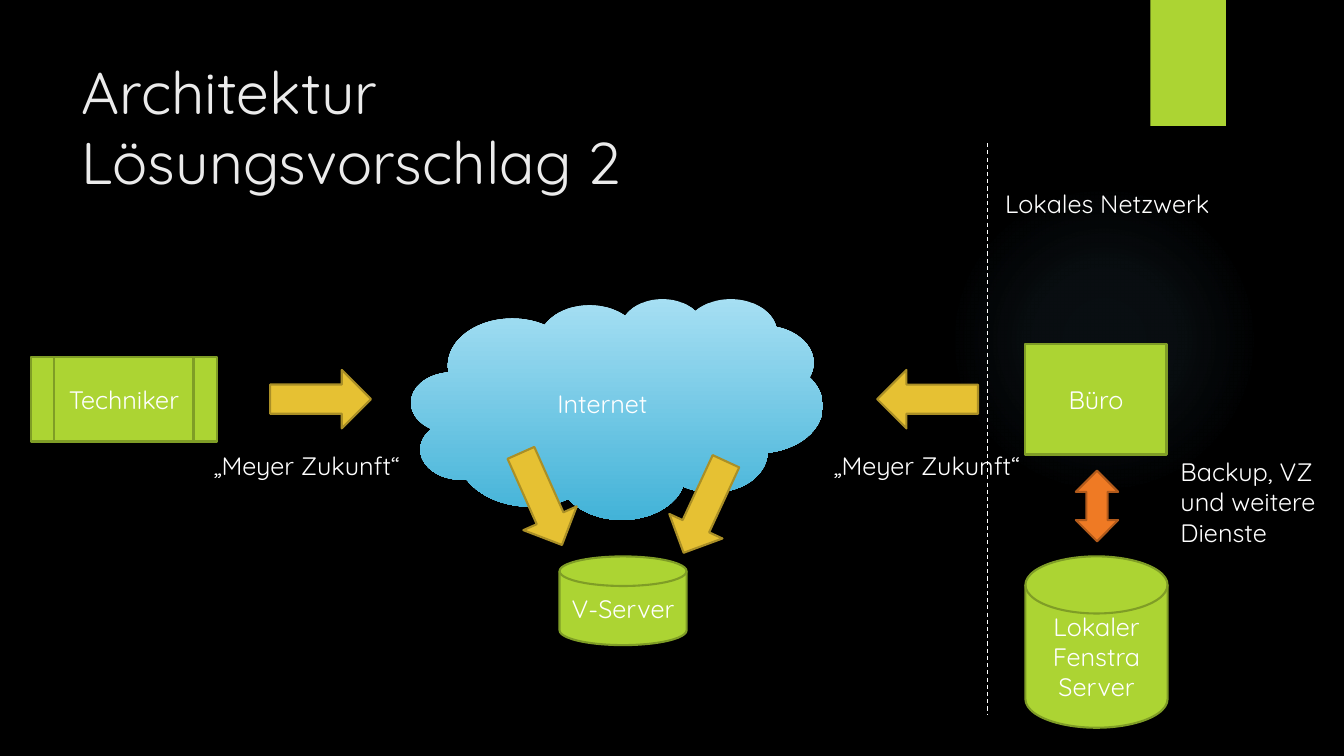
from lxml import etree
from pptx import Presentation
from pptx import util as u
from pptx.dml.color import RGBColor
from pptx.enum import dml, shapes, text
from pptx.oxml import ns, parse_xml

PX = 9144
THEME = {
    "font": "Quicksand", "title_size": 42, "body_size": 18,
    "outline": 1.5, "divider_width": 0.75,
    "background": "000000", "title": "EBEBEB", "text": "FFFFFF",
    "divider": "FFFFFF", "glow": "7AC4F0",
    "cloud": ("A6DFF3", "43B3D8"),
    "green": ("ACD433", "7F9D26"),
    "gold": ("E6C133", "AA8F26"),
    "orange": ("EF7A24", "B15A1B"),
}
SHAPE = shapes.MSO_SHAPE


def add_preset(kind, box, colours=None, rotation=0):
    shape = slide.shapes.add_shape(kind, *(value * PX for value in box))
    shape.shadow.inherit = False
    shape.rotation = rotation
    if colours:
        fill, outline = colours
        shape.fill.solid()
        shape.fill.fore_color.rgb = RGBColor.from_string(fill)
        shape.line.color.rgb = RGBColor.from_string(outline)
        shape.line.width = u.Pt(THEME["outline"])
    else:
        shape.line.fill.background()
    return shape


def write(shape, lines, frame_format, alignment, size="body_size", colour="text"):
    frame = shape.text_frame
    for name, value in {"word_wrap": True, **frame_format}.items():
        setattr(frame, name, value)
    paragraph = frame.paragraphs[0]
    paragraph.alignment = alignment
    font_format = {"name": THEME["font"], "size": u.Pt(THEME[size]), "bold": False}
    for index, line in enumerate(lines):
        if index:
            paragraph.add_line_break()
        run = paragraph.add_run()
        run.text = line
        for name, value in font_format.items():
            setattr(run.font, name, value)
        run.font.color.rgb = RGBColor.from_string(THEME[colour])


presentation = Presentation()
presentation.slide_width = 1333 * PX
presentation.slide_height = 750 * PX
slide = presentation.slides.add_slide(presentation.slide_layouts[5])
slide.background.fill.solid()
slide.background.fill.fore_color.rgb = RGBColor.from_string(THEME["background"])

glow = add_preset(SHAPE.OVAL, (941, 183, 308, 308))
stops = "".join(
    f'<a:gs pos="{position}000"><a:srgbClr val="{THEME["glow"]}">'
    f'<a:alpha val="{alpha}000"/></a:srgbClr></a:gs>'
    for position, alpha in ((0, 7), (36, 6), (69, 0))
)
glow.element.spPr.insert(2, parse_xml(
    f'<a:gradFill {ns.nsdecls("a")}><a:gsLst>{stops}</a:gsLst><a:path path="circle">'
    '<a:fillToRect l="50000" t="50000" r="50000" b="50000"/></a:path></a:gradFill>'
))

tab = add_preset(SHAPE.RECTANGLE, (1141, 0, 75, 125), THEME["green"])
tab.line.fill.background()

title = slide.shapes.title
for name, value in {"left": 71, "top": 50, "width": 1029, "height": 153}.items():
    setattr(title, name, value * PX)
title_format = {"vertical_anchor": text.MSO_ANCHOR.TOP, "auto_size": text.MSO_AUTO_SIZE.NONE}
write(title, ("Architektur", "Lösungsvorschlag 2"), title_format,
      text.PP_ALIGN.LEFT, "title_size", "title")

centred = {"vertical_anchor": text.MSO_ANCHOR.MIDDLE}
cloud = add_preset(SHAPE.CLOUD, (408, 296, 408, 219))
cloud.fill.gradient()
cloud.fill.gradient_angle = 270
for stop, position, colour in zip(cloud.fill.gradient_stops, (0, 1), THEME["cloud"]):
    stop.position = position
    stop.color.rgb = RGBColor.from_string(colour)
write(cloud, ("Internet",), centred, text.PP_ALIGN.CENTER)

nodes = (
    (SHAPE.RECTANGLE, (1017, 341, 140, 110), ("Büro",)),
    (SHAPE.FLOWCHART_PREDEFINED_PROCESS, (31, 354, 184, 84), ("Techniker",)),
    (SHAPE.FLOWCHART_MAGNETIC_DISK, (1017, 552, 141, 170), ("Lokaler", "Fenstra", "Server")),
    (SHAPE.FLOWCHART_MAGNETIC_DISK, (555, 552, 126, 88), ("V-Server",)),
)
for kind, box, lines in nodes:
    write(add_preset(kind, box, THEME["green"]), lines, centred, text.PP_ALIGN.CENTER)

for left, top, rotation in ((268, 367, 0), (870, 367, 180), (487, 466, 66), (649, 474, 114.8)):
    add_preset(SHAPE.RIGHT_ARROW, (left, top, 100, 58), THEME["gold"], rotation)
add_preset(SHAPE.LEFT_RIGHT_ARROW, (1053, 481, 70, 42), THEME["orange"], 90)

divider = slide.shapes.add_connector(
    shapes.MSO_CONNECTOR.STRAIGHT, 979 * PX, 142 * PX, 979 * PX, 709 * PX)
divider.line.color.rgb = RGBColor.from_string(THEME["divider"])
divider.line.width = u.Pt(THEME["divider_width"])
divider.line.dash_style = dml.MSO_LINE.DASH
etree.SubElement(divider.element.spPr, ns.qn("a:effectLst"))

labels = (
    ((817, 442, 220, 40), "„Meyer Zukunft“"),
    ((202, 442, 220, 40), "„Meyer Zukunft“"),
    ((1161, 448, 158, 131), "Backup, VZ und weitere Dienste"),
    ((987, 182, 243, 40), "Lokales Netzwerk"),
)
label_format = {"auto_size": text.MSO_AUTO_SIZE.SHAPE_TO_FIT_TEXT}
for box, wording in labels:
    label = slide.shapes.add_textbox(*(value * PX for value in box))
    write(label, (wording,), label_format, text.PP_ALIGN.LEFT)

presentation.save("out.pptx")
